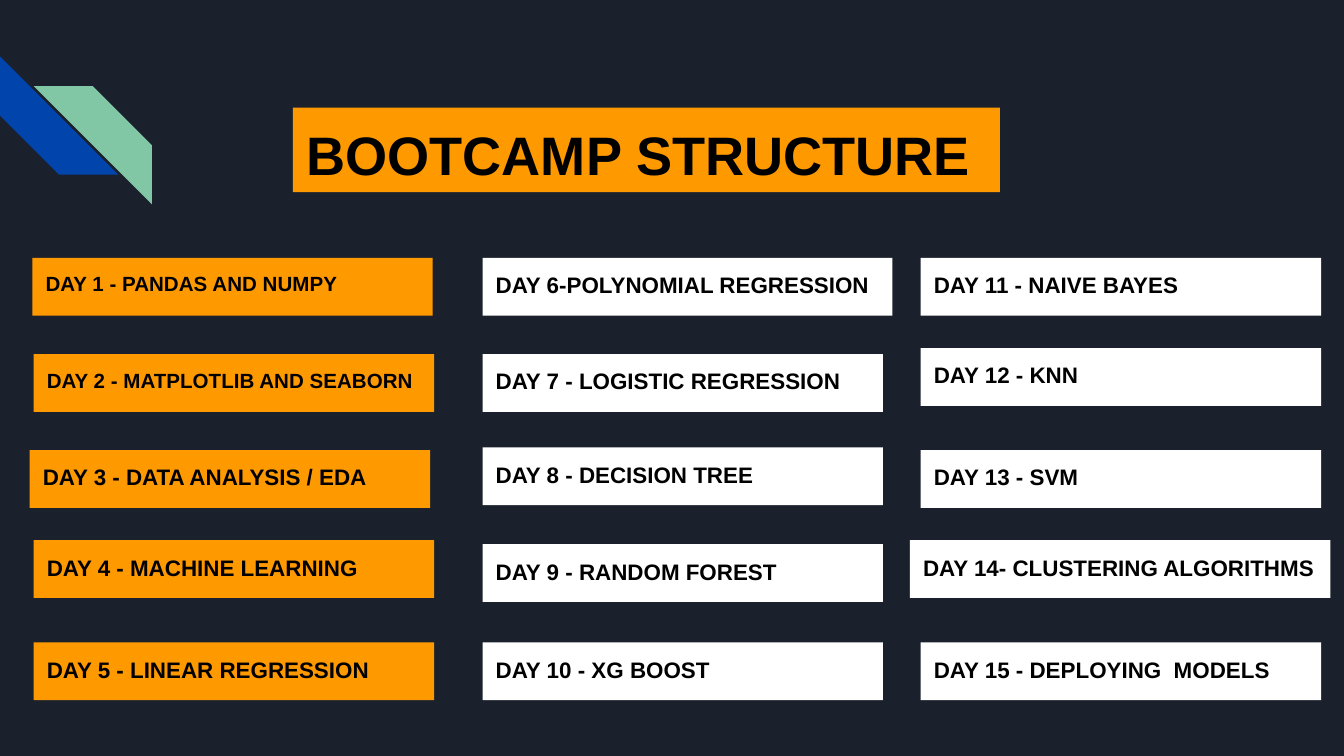
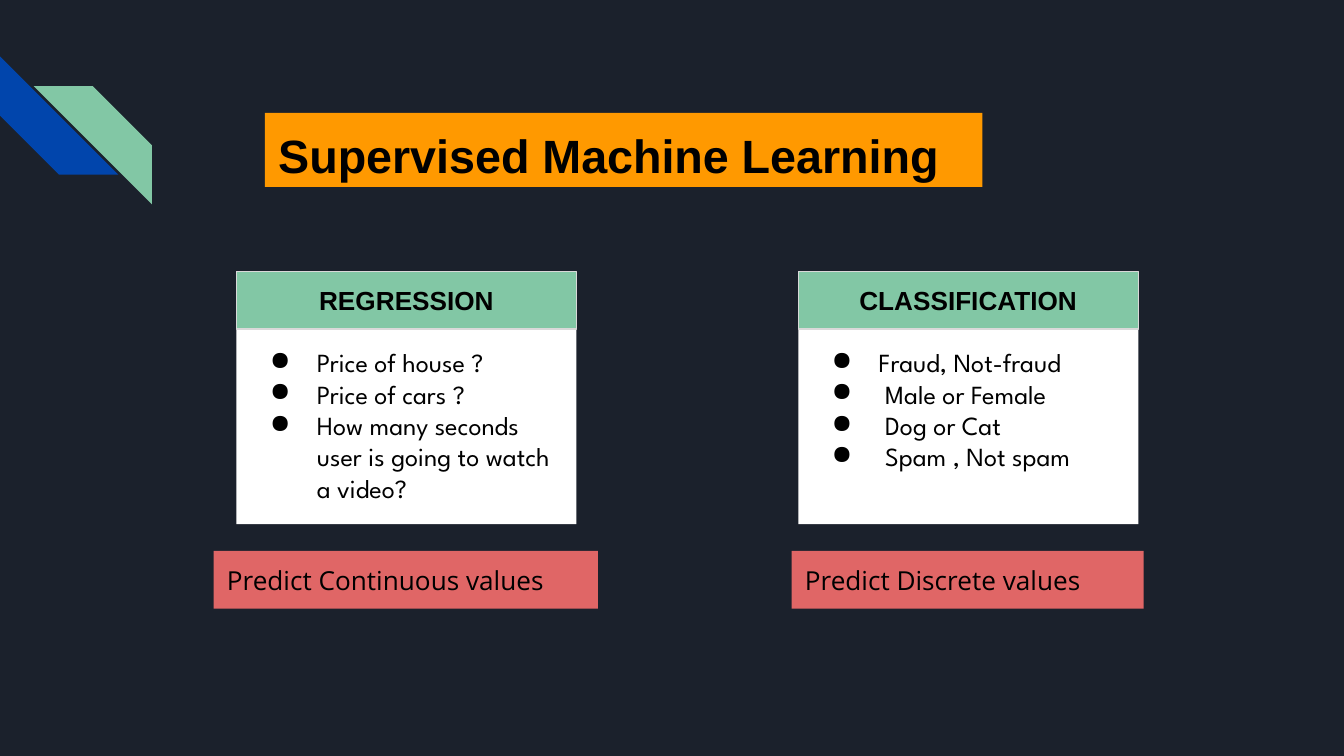
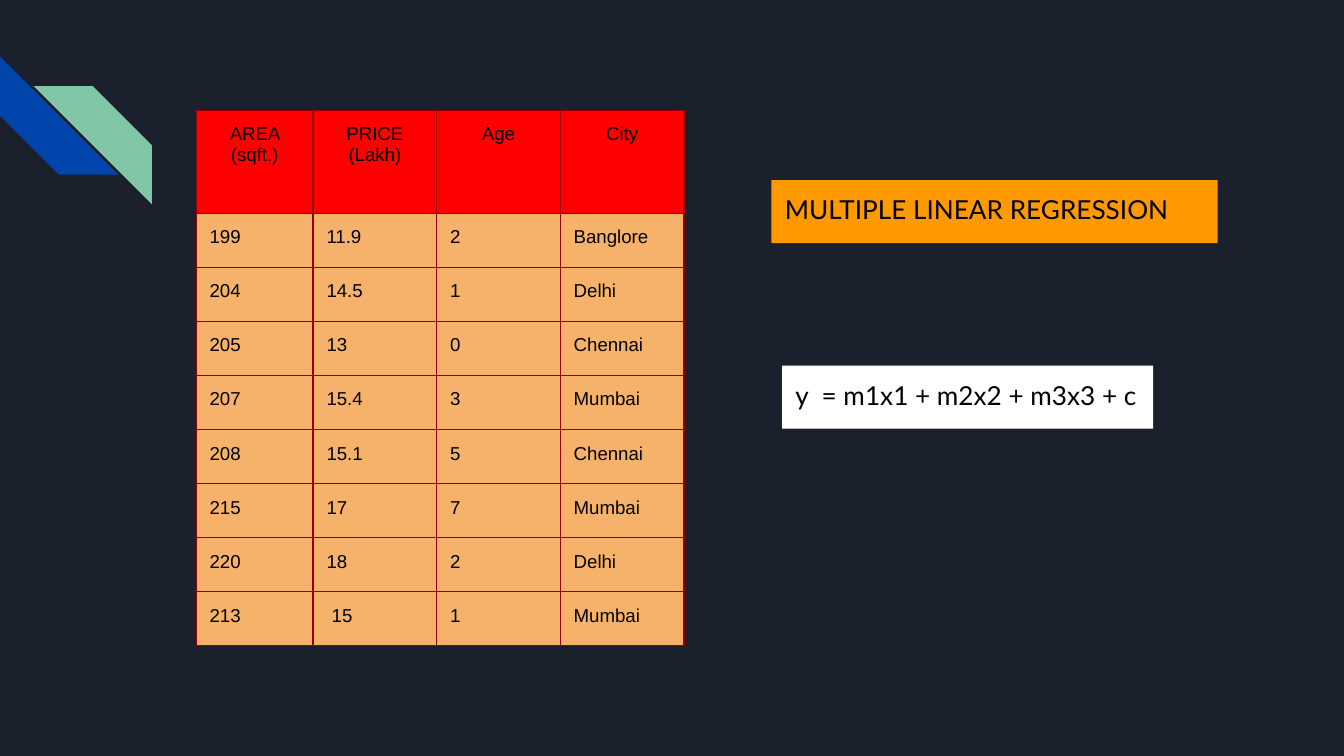
"""Build three bootcamp slides on a grid of 100 columns by 56.25 rows."""
from typing import Any, NamedTuple

from lxml import etree
from pptx import Presentation
from pptx import util as u
from pptx.dml import color
from pptx.enum import shapes, text
from pptx.oxml import ns

COLS, ROWS = 100, 56.25
CELL = u.Inches(10) / COLS
NAVY, BLUE, MINT, GOLD = "1B212C", "0145AC", "82C7A5", "FF9900"
WHITE, BLACK, GREY, ROSE = "FFFFFF", "000000", "D9D9D9", "E06666"
RED, PEACH, WINE = "FF0000", "F6B26B", "980000"
PAD = 1
LEFT, MID = text.PP_ALIGN.LEFT, text.PP_ALIGN.CENTER
TOP, CENTRE = text.MSO_ANCHOR.TOP, text.MSO_ANCHOR.MIDDLE
RECT, STRIPE = shapes.MSO_SHAPE.RECTANGLE, shapes.MSO_SHAPE.DIAGONAL_STRIPE


class Area(NamedTuple):
    """A place on the grid."""
    left: float
    top: float
    width: float
    height: float


class Style(NamedTuple):
    """The look of a text."""
    size: float
    face: str = "Arial"
    bold: bool = False
    align: Any = LEFT
    anchor: Any = TOP


class Day(NamedTuple):
    """A day of the course, with its shift from the grid."""
    label: str
    right: float = 0
    down: float = 0
    wider: float = 0
    size: float = 12


class Card(NamedTuple):
    """A kind of learning, with its examples and its outcome."""
    left: float
    head: str
    items: str
    note: str
    foot: Area


DAY_COLS, DAY_TOP, DAY_STEP = (2.5, 35.9, 68.5), 19.2, 7.15
DAY_WIDTH, BAR = 29.8, 4.3
DAYS = (
    (Day("DAY 1 - PANDAS AND NUMPY", right=-0.1, size=11),
     Day("DAY 2 - MATPLOTLIB AND SEABORN", size=11),
     Day("DAY 3 - DATA ANALYSIS / EDA", right=-0.3),
     Day("DAY 4 - MACHINE LEARNING", down=-0.45),
     Day("DAY 5 - LINEAR REGRESSION")),
    (Day("DAY 6-POLYNOMIAL REGRESSION", wider=0.7),
     Day("DAY 7 - LOGISTIC REGRESSION"),
     Day("DAY 8 - DECISION TREE", down=-0.2),
     Day("DAY 9 - RANDOM FOREST", down=-0.15),
     Day("DAY 10 - XG BOOST")),
    (Day("DAY 11 - NAIVE BAYES"),
     Day("DAY 12 - KNN", down=-0.45),
     Day("DAY 13 - SVM"),
     Day("DAY 14- CLUSTERING ALGORITHMS", right=-0.8, down=-0.45, wider=1.5),
     Day("DAY 15 - DEPLOYING  MODELS")),
)

CARD_TOP, CARD_WIDTH, CARD_HEIGHT, ITEM_TOP = 20.2, 25.3, 18.8, 5.6
CARDS = (
    Card(17.6, "REGRESSION",
         "Price of house ?\nPrice of cars ?\n"
         "How many seconds user is going to watch a video?",
         "Predict Continuous values", Area(15.9, 41, 28.6, BAR)),
    Card(59.4, "CLASSIFICATION",
         "Fraud, Not-fraud\n Male or Female\n Dog or Cat\n Spam , Not spam",
         "Predict Discrete values", Area(58.9, 41, 26.2, BAR)),
)

HOMES = (
    ("AREA (sqft.)", "PRICE\n(Lakh)", "Age", "City"),
    ("199", "11.9", "2", "Banglore"),
    ("204", "14.5", "1", "Delhi"),
    ("205", "13", "0", "Chennai"),
    ("207", "15.4", "3", "Mumbai"),
    ("208", "15.1", "5", "Chennai"),
    ("215", "17", "7", "Mumbai"),
    ("220", "18", "2", "Delhi"),
    ("213", " 15", "1", "Mumbai"),
)
HOME_COLS = (8.7, 9.2, 9.2, 9.2)
HOME_ROWS = (7.7,) + (4.02,) * (len(HOMES) - 1)


def span(cells: float) -> u.Emu:
    """Turn grid cells into a length."""
    return u.Emu(round(cells * CELL))


def paint(fill: Any, shade: str) -> None:
    """Fill with one plain colour."""
    fill.solid()
    fill.fore_color.rgb = color.RGBColor.from_string(shade)


def write(frame: Any, words: str, style: Style) -> None:
    """Put styled words into a text frame."""
    frame.text = words
    for para in frame.paragraphs:
        para.alignment = style.align
        font = para.font
        font.size, font.name, font.bold = u.Pt(style.size), style.face, style.bold
        paint(font.fill, BLACK)


def fit(frame: Any, style: Style, top: float = PAD) -> None:
    """Set the wrap, anchor and margins of a text frame."""
    frame.word_wrap = True
    frame.auto_size = text.MSO_AUTO_SIZE.NONE
    frame.vertical_anchor = style.anchor
    frame.margin_left = frame.margin_right = frame.margin_bottom = span(PAD)
    frame.margin_top = span(top)


def shape(slide: Any, kind: Any, area: Area, shade: str) -> Any:
    """Draw a flat shape with no line."""
    item = slide.shapes.add_shape(kind, *map(span, area))
    item.shadow.inherit = False
    item.line.fill.background()
    paint(item.fill, shade)
    return item


def box(slide: Any, area: Area, shade: str, words: str, style: Style,
        top: float = PAD) -> Any:
    """Draw a filled box with words."""
    item = shape(slide, RECT, area, shade)
    fit(item.text_frame, style, top)
    write(item.text_frame, words, style)
    return item


def title(slide: Any, area: Area, words: str, style: Style) -> None:
    """Place the title on its gold band."""
    item = slide.shapes.title
    item.left, item.top, item.width, item.height = map(span, area)
    paint(item.fill, GOLD)
    fit(item.text_frame, style)
    write(item.text_frame, words, style)


def bullet(para: Any) -> None:
    """Give a paragraph a round bullet and a hanging indent."""
    props = para.font and para._p.get_or_add_pPr()
    props.set("marL", str(span(5)))
    props.set("indent", str(-span(3.5)))
    tint = etree.Element(ns.qn("a:buClr"))
    etree.SubElement(tint, ns.qn("a:srgbClr"), val=BLACK)
    mark = etree.Element(ns.qn("a:buChar"), char="●")
    props.insert(0, tint)
    props.insert(1, mark)


def edge(cell: Any, shade: str) -> None:
    """Draw a thin line on each side of a table cell."""
    props = cell._tc.get_or_add_tcPr()
    for side in ("lnL", "lnR", "lnT", "lnB"):
        line = etree.SubElement(props, ns.qn(f"a:{side}"), w=str(u.Pt(0.75)))
        fill = etree.SubElement(line, ns.qn("a:solidFill"))
        etree.SubElement(fill, ns.qn("a:srgbClr"), val=shade)


def dress(deck: Any, layout: Any, slide: Any) -> None:
    """Give the master its ground and the layout its corner stripes."""
    paint(deck.slide_master.background.fill, NAVY)
    lower = shape(slide, STRIPE, Area(0, 4.2, 8.8, 8.8), BLUE)
    lower.rotation = 270
    upper = shape(slide, STRIPE, Area(2.5, 6.4, 8.8, 8.8), MINT)
    upper.element.spPr.find(ns.qn("a:xfrm")).set("flipH", "1")
    for item in (lower, upper):
        layout.shapes.element.append(item.element)


def plan(slide: Any) -> None:
    """Show the days of the course."""
    title(slide, Area(21.8, 8, 52.6, 6.3), "BOOTCAMP STRUCTURE", Style(29, bold=True))
    for col, days in enumerate(DAYS):
        for row, day in enumerate(days):
            area = Area(DAY_COLS[col] + day.right,
                        DAY_TOP + row * DAY_STEP + day.down,
                        DAY_WIDTH + day.wider, BAR)
            box(slide, area, WHITE if col else GOLD, day.label,
                Style(day.size, bold=True))


def kinds(slide: Any) -> None:
    """Compare the two kinds of supervised learning."""
    title(slide, Area(19.7, 8.4, 53.4, 5.5), "Supervised Machine Learning",
          Style(25, bold=True))
    for card in CARDS:
        body = box(slide, Area(card.left, CARD_TOP, CARD_WIDTH, CARD_HEIGHT), WHITE,
                   card.items, Style(14, "League Spartan"), ITEM_TOP)
        for para in body.text_frame.paragraphs:
            bullet(para)
        head = box(slide, Area(card.left, CARD_TOP, CARD_WIDTH, BAR), MINT,
                   card.head, Style(14, bold=True, align=MID, anchor=CENTRE))
        paint(head.line.fill, GREY)
        head.line.width = u.Pt(0.75)
        box(slide, card.foot, ROSE, card.note, Style(14, "Open Sans"))


def homes(slide: Any) -> None:
    """Show the home prices and their model."""
    lato = Style(14, "Lato")
    title(slide, Area(57.4, 13.4, 33.2, 4.7), "MULTIPLE LINEAR REGRESSION", lato)
    area = Area(14.6, 8.2, sum(HOME_COLS), sum(HOME_ROWS))
    table = slide.shapes.add_table(len(HOMES), len(HOME_COLS), *map(span, area)).table
    table.first_row = table.horz_banding = False
    for col, width in zip(table.columns, HOME_COLS):
        col.width = span(width)
    for row, height in zip(table.rows, HOME_ROWS):
        row.height = span(height)
    for index, row in enumerate(HOMES):
        for col, words in enumerate(row):
            cell = table.cell(index, col)
            edge(cell, WINE)
            paint(cell.fill, PEACH if index else RED)
            cell.margin_left = cell.margin_right = span(PAD)
            cell.margin_top = cell.margin_bottom = span(PAD)
            write(cell.text_frame, words, Style(10, align=LEFT if index else MID))
    box(slide, Area(58.2, 27.2, 27.6, 4.7), WHITE, "y  = m1x1 + m2x2 + m3x3 + c", lato)


def main() -> None:
    """Build and save the deck."""
    deck = Presentation()
    deck.slide_width, deck.slide_height = span(COLS), span(ROWS)
    layout = deck.slide_layouts.get_by_name("Title Only")
    for index, draw in enumerate((plan, kinds, homes)):
        slide = deck.slides.add_slide(layout)
        if not index:
            dress(deck, layout, slide)
        draw(slide)
    deck.save("out.pptx")


if __name__ == "__main__":
    main()
